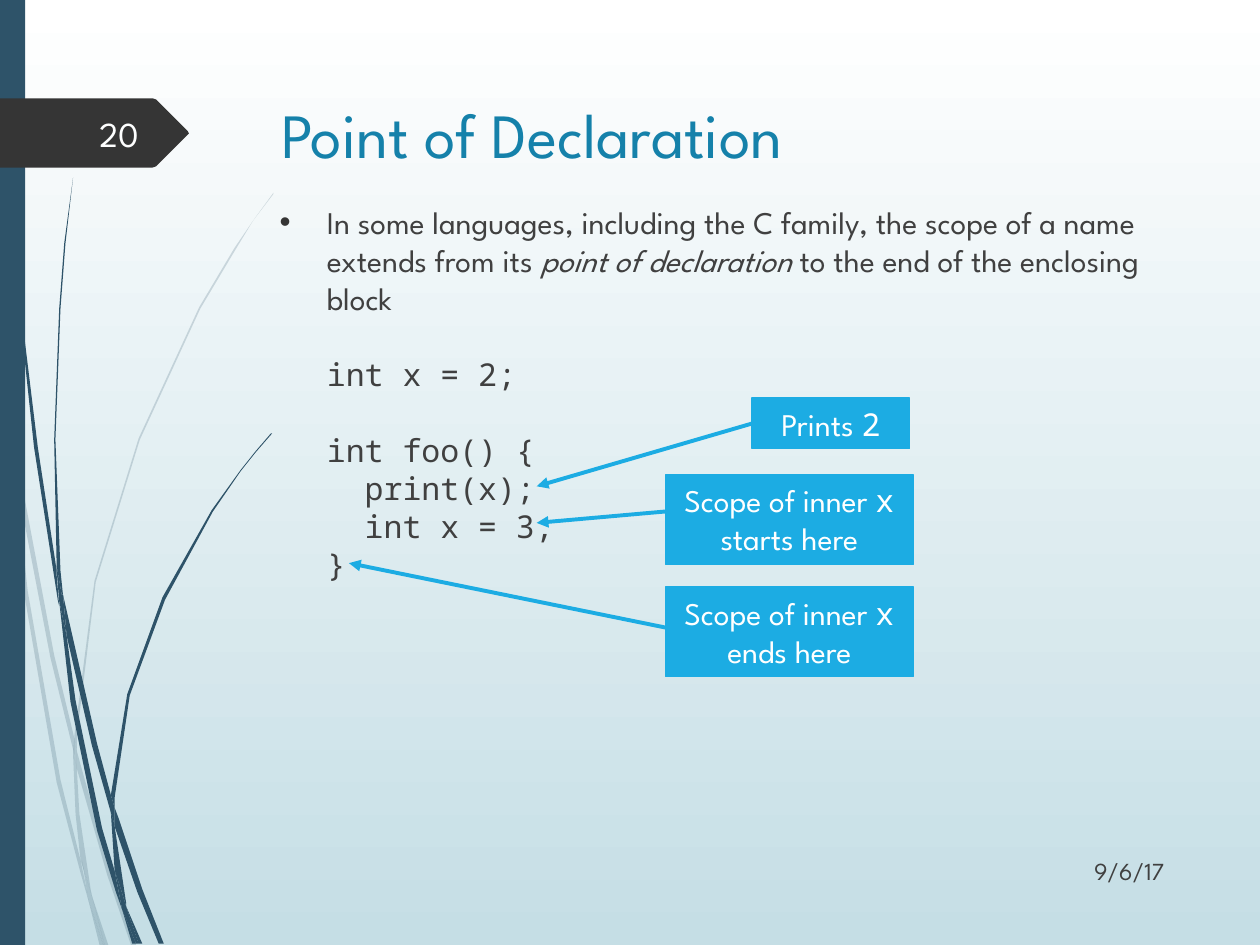
from lxml.etree import SubElement
from pptx import Presentation
from pptx.dml.color import RGBColor
from pptx.enum.shapes import MSO_CONNECTOR, MSO_SHAPE
from pptx.enum.text import MSO_ANCHOR, MSO_AUTO_SIZE, PP_ALIGN
from pptx.oxml.ns import qn
from pptx.util import Pt

COLORS = {
    "sky_top": "FFFFFF", "sky_bottom": "C5DEE5", "stem": "2E5369",
    "tag": "353535", "title": "1581AA", "text": "404040",
    "number": "FEFFFF", "callout": "1CACE3", "white": "FFFFFF",
}
SANS = "League Spartan"
MONO = "Noto Sans Mono"
LINE_PITCH = Pt(21.7)
INDENT = Pt(27)
OUTLINE_UNIT = Pt(0.72)

PALE_STEMS = [
    [(8, 350), (6, 322), (0, 282), (0, 299), (7, 344)],
    [(40, 522), (59, 599), (59, 586), (43, 520), (10, 345), (12, 376)],
    [(64, 607), (61, 596), (61, 610), (85, 694), (104, 750), (108, 750), (88, 692)],
    [(83, 750), (86, 750), (73, 711)],
    [(64, 683), (48, 619), (22, 469), (12, 376), (8, 350), (19, 470), (45, 621),
     (64, 693), (70, 714), (69, 707)],
    [(58, 599), (60, 646), (64, 683), (67, 692), (73, 711), (72, 706), (63, 646),
     (61, 610), (61, 608)],
    [(61, 584), (76, 462), (111, 349), (159, 245), (187, 198), (201, 175), (217, 154),
     (217, 153), (201, 175), (186, 197), (158, 244), (110, 348), (75, 461), (59, 584),
     (59, 586), (61, 596)],
    [(70, 714), (79, 750), (82, 750)],
    [(61, 608), (61, 610), (61, 596), (59, 586), (58, 599)],
    [(67, 692), (65, 683), (69, 707), (70, 714), (82, 750), (83, 750), (73, 711)],
]
DARK_STEMS = [
    [(5, 110), (14, 233), (27, 355), (46, 477), (47, 481), (45, 457), (45, 453),
     (30, 355), (15, 232), (6, 109), (4, 48), (3, 0), (2, 0), (3, 48)],
    [(73, 592), (88, 645), (88, 633), (88, 631), (77, 590), (50, 472), (53, 505)],
    [(94, 649), (91, 641), (91, 656), (109, 708), (126, 749), (130, 749), (113, 706)],
    [(91, 691), (81, 657), (60, 556), (53, 505), (47, 477), (56, 557), (77, 659),
     (92, 708), (97, 722), (96, 717)],
    [(50, 472), (48, 453), (44, 349), (48, 245), (52, 193), (58, 141), (51, 193),
     (47, 245), (43, 349), (45, 449), (49, 472)],
    [(110, 749), (113, 749), (100, 719)],
    [(47, 477), (53, 505), (50, 472), (49, 472), (45, 449), (45, 453)],
    [(91, 633), (103, 552), (131, 476), (169, 406), (191, 374), (203, 359), (216, 344),
     (215, 344), (203, 358), (191, 373), (168, 405), (129, 474), (101, 551), (88, 631),
     (91, 641)],
    [(97, 722), (105, 749), (108, 749)],
    [(88, 645), (91, 691), (96, 706), (100, 719), (100, 716), (91, 656), (90, 651)],
    [(88, 645), (90, 651), (91, 656), (91, 641), (88, 631), (88, 633)],
    [(96, 706), (91, 691), (96, 717), (97, 722), (108, 749), (110, 749), (100, 719)],
]
NUMBER_TAG = [(149, 107), (124, 132), (121, 133), (0, 133), (0, 78), (121, 78),
              (124, 79), (149, 104), (149.5, 105.5)]

BULLET = [("In some languages, including the C family, the scope of a name extends from its ", {}),
          ("point of declaration", {"italic": True}),
          (" to the end of the enclosing block", {})]
CODE_BLOCKS = ["int x = 2;", "int foo() {\n  print(x);\n  int x = 3;\n}"]
CALLOUTS = [
    ((380.2, 271.4, 141.8, 51.1), 292.3, (306.7, 298.8),
     [("Scope of inner ", {}), ("x", {"name": MONO}), (" starts here", {})]),
    ((429.8, 227.5, 90, 29), 242, (306.7, 277.9),
     [("Prints ", {}), ("2", {"name": MONO})]),
    ((380.2, 335.5, 141.8, 51.1), 358.6, (199.4, 321.8),
     [("Scope of inner ", {}), ("x", {"name": MONO}), (" ends here", {})]),
]


def rgb(name):
    return RGBColor.from_string(COLORS[name])


def style(paragraph, size, color, name=SANS):
    paragraph.font.size = Pt(size)
    paragraph.font.name = name
    paragraph.font.color.rgb = rgb(color)


def add_runs(paragraph, runs):
    for text, overrides in runs:
        run = paragraph.add_run()
        run.text = text
        for attribute, value in overrides.items():
            setattr(run.font, attribute, value)


def place(shape, left, top, width, height):
    shape.left, shape.top = Pt(left), Pt(top)
    shape.width, shape.height = Pt(width), Pt(height)


def paint(shape, color, opacity=None):
    shape.shadow.inherit = False
    shape.fill.solid()
    shape.fill.fore_color.rgb = rgb(color)
    shape.line.fill.background()
    if opacity is not None:
        fill_color = shape.fill._xPr.find(qn("a:solidFill"))[0]
        SubElement(fill_color, qn("a:alpha"), val=str(opacity * 1000))


def add_outline(shapes, points, color, opacity=None):
    builder = shapes.build_freeform(*points[0], scale=OUTLINE_UNIT)
    builder.add_line_segments(points[1:], close=True)
    paint(builder.convert_to_shape(), color, opacity)


def add_stems(slide, outlines, opacity=None):
    group = slide.shapes.add_group_shape()
    for points in outlines:
        add_outline(group.shapes, points, "stem", opacity)


def set_background(slide):
    fill = slide.background.fill
    fill.gradient()
    fill.gradient_angle = 270
    for stop, color in zip(fill.gradient_stops, ("sky_top", "sky_bottom")):
        stop.color.rgb = rgb(color)


def set_title(slide, text):
    title = slide.shapes.title
    place(title, 153.4, 49, 519, 54)
    title.text_frame.text = text
    title.text_frame.auto_size = MSO_AUTO_SIZE.NONE
    title.text_frame.vertical_anchor = MSO_ANCHOR.MIDDLE
    paragraph = title.text_frame.paragraphs[0]
    paragraph.alignment = PP_ALIGN.LEFT
    style(paragraph, 36, "title")


def set_indent(paragraph, bullet=None):
    properties = paragraph._p.get_or_add_pPr()
    properties.set("marL", str(INDENT))
    properties.set("indent", str(-INDENT if bullet else 0))
    if bullet:
        bullet_color = SubElement(properties, qn("a:buClr"))
        SubElement(bullet_color, qn("a:srgbClr"), val=COLORS["tag"])
        SubElement(properties, qn("a:buFont"), typeface="Arial")
        SubElement(properties, qn("a:buChar"), char=bullet)
    else:
        SubElement(properties, qn("a:buNone"))


def set_body(slide):
    body = slide.placeholders[1]
    place(body, 152.6, 112.3, 519, 360)
    frame = body.text_frame
    frame.auto_size = MSO_AUTO_SIZE.NONE
    paragraph = frame.paragraphs[0]
    add_runs(paragraph, BULLET)
    set_indent(paragraph, "•")
    paragraph.space_before = Pt(0)
    paragraph.line_spacing = LINE_PITCH
    style(paragraph, 18, "text")
    for code in CODE_BLOCKS:
        paragraph = frame.add_paragraph()
        paragraph.text = code
        set_indent(paragraph)
        paragraph.space_before = LINE_PITCH
        paragraph.line_spacing = LINE_PITCH
        style(paragraph, 18, "text", MONO)


def add_label(slide, box, text, size, color):
    label = slide.shapes.add_textbox(*map(Pt, box))
    frame = label.text_frame
    frame.word_wrap = True
    frame.vertical_anchor = MSO_ANCHOR.MIDDLE
    paragraph = frame.paragraphs[0]
    paragraph.text = text
    paragraph.alignment = PP_ALIGN.RIGHT
    style(paragraph, size, color)


def add_callout(slide, box, start_y, target, runs):
    left, top, width, height = box
    callout = slide.shapes.add_shape(MSO_SHAPE.RECTANGLE, *map(Pt, box))
    paint(callout, "callout")
    callout.line.color.rgb = rgb("callout")
    callout.line.width = Pt(0.75)
    callout.text_frame.word_wrap = True
    callout.text_frame.vertical_anchor = MSO_ANCHOR.TOP
    paragraph = callout.text_frame.paragraphs[0]
    add_runs(paragraph, runs)
    paragraph.alignment = PP_ALIGN.CENTER
    paragraph.line_spacing = LINE_PITCH
    style(paragraph, 18, "white")
    arrow = slide.shapes.add_connector(
        MSO_CONNECTOR.STRAIGHT, Pt(left), Pt(start_y), *map(Pt, target))
    if start_y == top + height / 2:
        arrow.begin_connect(callout, 1)
    arrow.line.color.rgb = rgb("callout")
    arrow.line.width = Pt(2.25)
    SubElement(arrow.line._get_or_add_ln(), qn("a:tailEnd"), type="triangle")
    SubElement(arrow._element.spPr, qn("a:effectLst"))


def main():
    presentation = Presentation()
    presentation.slide_width, presentation.slide_height = Pt(720), Pt(540)
    slide = presentation.slides.add_slide(presentation.slide_layouts[1])
    set_background(slide)
    add_stems(slide, PALE_STEMS, 20)
    add_stems(slide, DARK_STEMS)
    paint(slide.shapes.add_shape(MSO_SHAPE.RECTANGLE, 0, 0, Pt(14.4), Pt(540)), "stem")
    add_outline(slide.shapes, NUMBER_TAG, "tag")
    set_title(slide, "Point of Declaration")
    set_body(slide)
    add_label(slide, (576.7, 483.1, 95.8, 28.8), "9/6/17", 14, "text")
    add_label(slide, (40.3, 61.9, 46.1, 28.8), "20", 20, "number")
    for callout in CALLOUTS:
        add_callout(slide, *callout)
    presentation.save("out.pptx")


if __name__ == "__main__":
    main()
